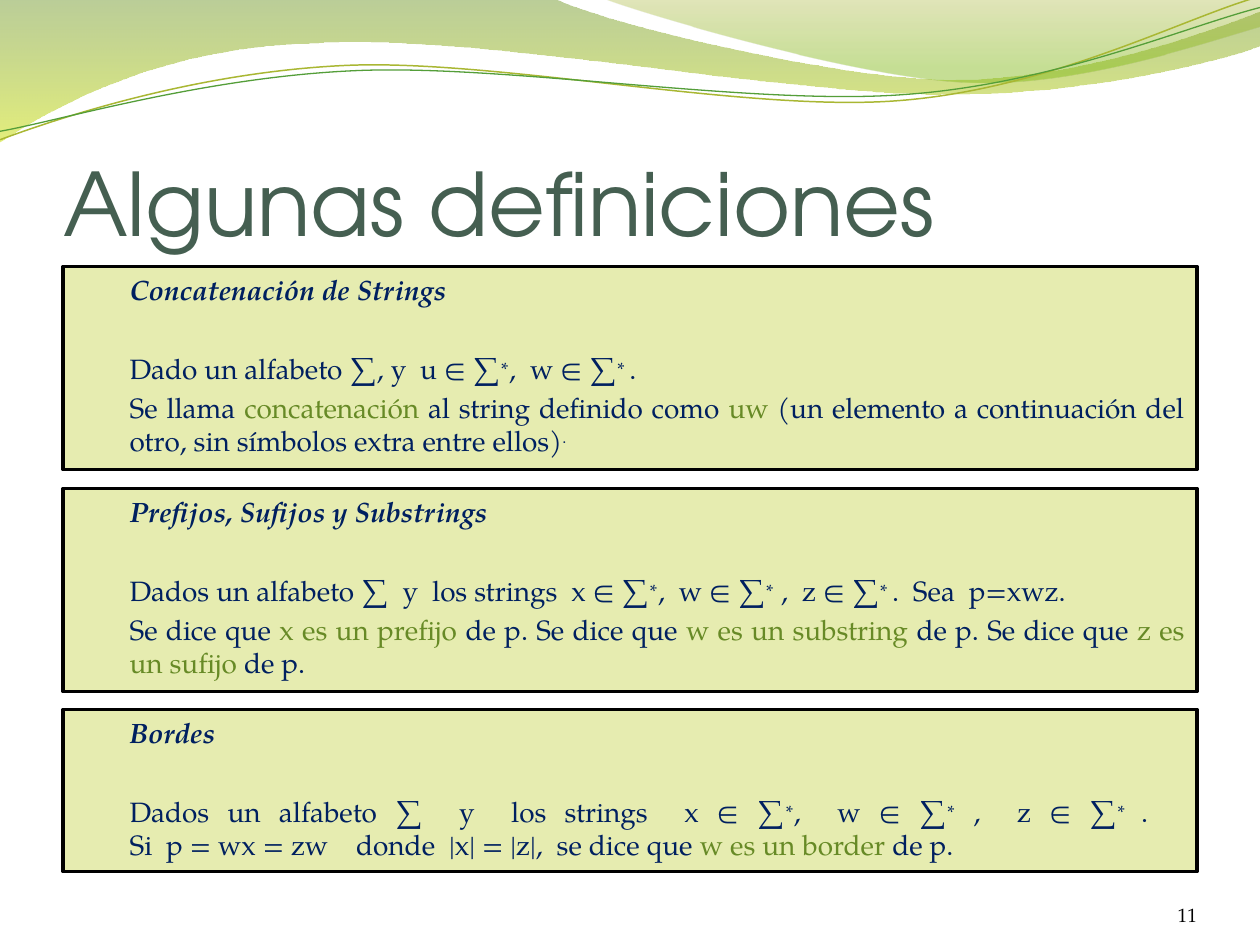
from lxml.etree import SubElement
from pptx import Presentation
from pptx.dml.color import RGBColor
from pptx.enum.shapes import MSO_SHAPE
from pptx.enum.text import MSO_ANCHOR, MSO_AUTO_SIZE, PP_ALIGN
from pptx.oxml.ns import qn
from pptx.util import Pt

COLORS = {
    "title": "455F51", "text": "002060", "accent": "678A26", "black": "000000",
    "panel": "E6ECB0", "olive": "69921C", "lime": "CCE10F", "moss": "9BAA1A",
    "leaf": "81BA16", "gold": "A9B733", "green": "549E39",
}
HEAD_FONT, BODY_FONT = "TeX Gyre Adventor", "TeX Gyre Pagella"
STAR = ("∗", "super")
STAR_GAP = ("∗ ", "super")

BANDS = [
    ([(0, 0), (316.8, -0.7), (342, 12.2, 477.4, 45.4, 545.8, 45.4),
      (614.2, 45.4, 689.8, 18.7, 720, 6.5), (720.7, 25.9),
      (707.8, 31.7, 625.7, 54.7, 537.1, 54), (447.8, 54, 274.3, 20.2, 185, 24.5),
      (92.9, 25.9, 33.1, 59.8, -0.7, 81.4)],
     [(0, "olive", 45), (1, "lime", 55)]),
    ([(344.9, -0.7), (366.5, 7.9, 491, 44.6, 553, 46.8),
      (615.6, 49.7, 691.9, 23, 720, 15.1), (720, 0)],
     [(0, "moss", 30), (0.8, "leaf", 45)]),
]
WAVES = [
    ([(-1.4, 62.9), (33.8, 51.7, 113.3, 29.4, 199.1, 29.8),
      (284.9, 30.3, 425, 67.3, 511.6, 64.8),
      (599, 62.4, 676.5, 25.7, 719.4, 15.5)], "gold", 0.85),
    ([(-1.1, 58), (32.9, 53.7, 117.6, 32.5, 204.1, 33),
      (289.8, 33.4, 428.9, 63.8, 515.5, 61.4),
      (601.3, 59.6, 678.4, 30.1, 721.4, 21.3)], "green", 0.75),
]
STRINGS = [("Dados un alfabeto ∑  y  los strings  x ∈ ∑", "text"), STAR,
           (",  w ∈ ∑", "text"), STAR, (" ,  z ∈ ∑", "text"), STAR_GAP]
PANELS = [
    (152.4, 116, "Concatenación de Strings", [
        [("Dado un alfabeto ∑, y  u ∈ ∑", "text"), STAR,
         (",  w ∈ ∑", "text"), STAR_GAP, (".", "text")],
        [("Se llama ", "text"), ("concatenación", "accent"),
         (" al string definido como ", "text"), ("uw", "accent"),
         (" (un elemento a continuación del otro, sin símbolos extra entre ellos)", "text"),
         (".", "super")],
    ]),
    (279.2, 116, "Prefijos, Sufijos y Substrings", [
        STRINGS + [(".  Sea  p=xwz. ", "text")],
        [("Se dice que ", "text"), ("x es un prefijo ", "accent"),
         ("de p. Se dice que ", "text"), ("w es un substring ", "accent"),
         ("de p. Se dice que ", "text"), ("z es un sufijo ", "accent"), ("de p.", "text")],
    ]),
    (405.4, 92.6, "Bordes", [
        STRINGS + [(".  ", "text"), ("", "break"),
                   ("Si  p = wx = zw    donde  |x| = |z|,  se dice que ", "text"),
                   ("w es un border ", "accent"), ("de p. ", "text")],
    ]),
]


def rgb(name):
    """Return the named colour."""
    return RGBColor.from_string(COLORS[name])


class Deck:
    """Hold the style and the current slide."""

    def __init__(self):
        """Start a presentation with one title-only slide."""
        self.prs = Presentation()
        self.prs.slide_width, self.prs.slide_height = Pt(720), Pt(540)
        self.s = self.prs.slides.add_slide(self.prs.slide_layouts[5])

    def run(self, p, text, size, color, font=BODY_FONT, bold=False, raised=False):
        """Add one formatted run."""
        r = p.add_run()
        r.text = text
        r.font.name, r.font.size = font, Pt(size)
        r.font.bold = r.font.italic = bold
        r.font.color.rgb = rgb(color)
        if raised:
            r.font._element.set("baseline", "30000")

    def frame(self, sp, anchor, insets, fit=MSO_AUTO_SIZE.NONE):
        """Set wrapping, fit, anchor and insets of a text frame."""
        tf = sp.text_frame
        tf.word_wrap, tf.auto_size, tf.vertical_anchor = True, fit, anchor
        tf.margin_left, tf.margin_top, tf.margin_right, tf.margin_bottom = map(Pt, insets)
        return tf

    def title(self, text):
        """Place and fill the title."""
        sp = self.s.shapes.title
        sp.left, sp.top, sp.width, sp.height = Pt(36), Pt(55.4), Pt(648), Pt(90)
        p = self.frame(sp, MSO_ANCHOR.BOTTOM, (0, 3.6, 0, 0)).paragraphs[0]
        p.alignment = PP_ALIGN.LEFT
        self.run(p, text, 50, "title", HEAD_FONT)

    def number(self, text):
        """Add the page number."""
        sp = self.s.shapes.add_textbox(Pt(624), Pt(500.4), Pt(60), Pt(28.8))
        p = self.frame(sp, MSO_ANCHOR.BOTTOM, (0, 0, 0, 0)).paragraphs[0]
        p.alignment = PP_ALIGN.RIGHT
        self.run(p, text, 11, "black")

    def outline(self, path, closed):
        """Build a freeform and bend its cubic segments."""
        points = [(Pt(seg[-2]), Pt(seg[-1])) for seg in path]
        builder = self.s.shapes.build_freeform(*points[0])
        builder.add_line_segments(points[1:], close=closed)
        sp = builder.convert_to_shape()
        sp.shadow.inherit = False
        lines = list(sp._element.iter(qn("a:lnTo")))
        for line, seg in zip(lines, path[1:]):
            if len(seg) == 6:
                line.tag = qn("a:cubicBezTo")
                end = line[0]
                for x, y in (seg[:2], seg[2:4]):
                    pt = SubElement(line, qn("a:pt"))
                    pt.set("x", str(Pt(x) - sp.left))
                    pt.set("y", str(Pt(y) - sp.top))
                line.append(end)
        return sp

    def band(self, path, stops):
        """Add a closed band with a translucent vertical gradient."""
        sp = self.outline(path, True)
        sp.line.fill.background()
        sp.fill.gradient()
        sp.fill.gradient_angle = 270
        for stop, (position, color, _) in zip(sp.fill.gradient_stops, stops):
            stop.position = position
            stop.color.rgb = rgb(color)
        clrs = sp._element.spPr.iter(qn("a:srgbClr"))
        for clr, (_, _, opacity) in zip(clrs, stops):
            SubElement(clr, qn("a:alpha")).set("val", str(opacity * 1000))

    def wave(self, path, color, width):
        """Add an open curved line, slightly turned."""
        sp = self.outline(path, False)
        sp.rotation = 357.3
        sp.fill.background()
        sp.line.color.rgb, sp.line.width = rgb(color), Pt(width)

    def paragraph(self, p, runs, before=0, bold=False):
        """Fill one indented, justified paragraph."""
        p.alignment, p.level = PP_ALIGN.JUSTIFY, 1
        p.space_before = Pt(before)
        pPr = p._p.get_or_add_pPr()
        pPr.set("marL", str(Pt(31)))
        pPr.set("indent", "0")
        for text, style in runs:
            if style == "break":
                p.add_line_break()
            else:
                raised = style == "super"
                self.run(p, text, 16, "text" if raised else style, bold=bold, raised=raised)

    def panel(self, top, height, heading, body):
        """Add a definition box."""
        sp = self.s.shapes.add_shape(MSO_SHAPE.RECTANGLE, Pt(36), Pt(top), Pt(648), Pt(height))
        sp.shadow.inherit = False
        sp.fill.solid()
        sp.fill.fore_color.rgb = rgb("panel")
        sp.line.color.rgb, sp.line.width = rgb("black"), Pt(2)
        tf = self.frame(sp, MSO_ANCHOR.TOP, (7.2, 3.6, 7.2, 3.6),
                        MSO_AUTO_SIZE.SHAPE_TO_FIT_TEXT)
        self.paragraph(tf.paragraphs[0], [(heading, "text")], bold=True)
        for i, runs in enumerate(body):
            self.paragraph(tf.add_paragraph(), runs, before=3.2 if i else 25.6)


def main():
    """Build and save the slide."""
    deck = Deck()
    for band in BANDS:
        deck.band(*band)
    for wave in WAVES:
        deck.wave(*wave)
    deck.title("Algunas definiciones")
    deck.number("11")
    for panel in PANELS:
        deck.panel(*panel)
    deck.prs.save("out.pptx")


if __name__ == "__main__":
    main()
